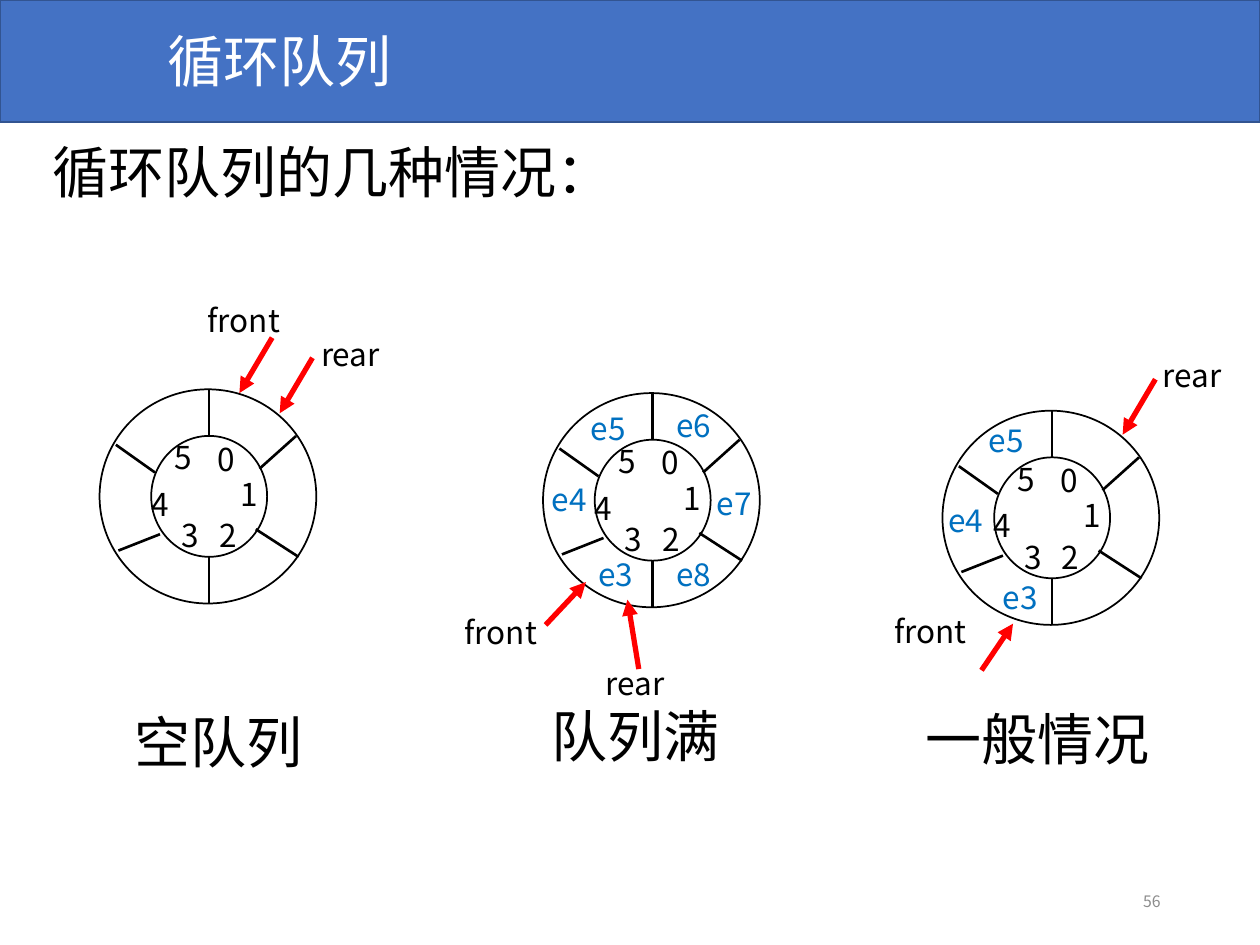
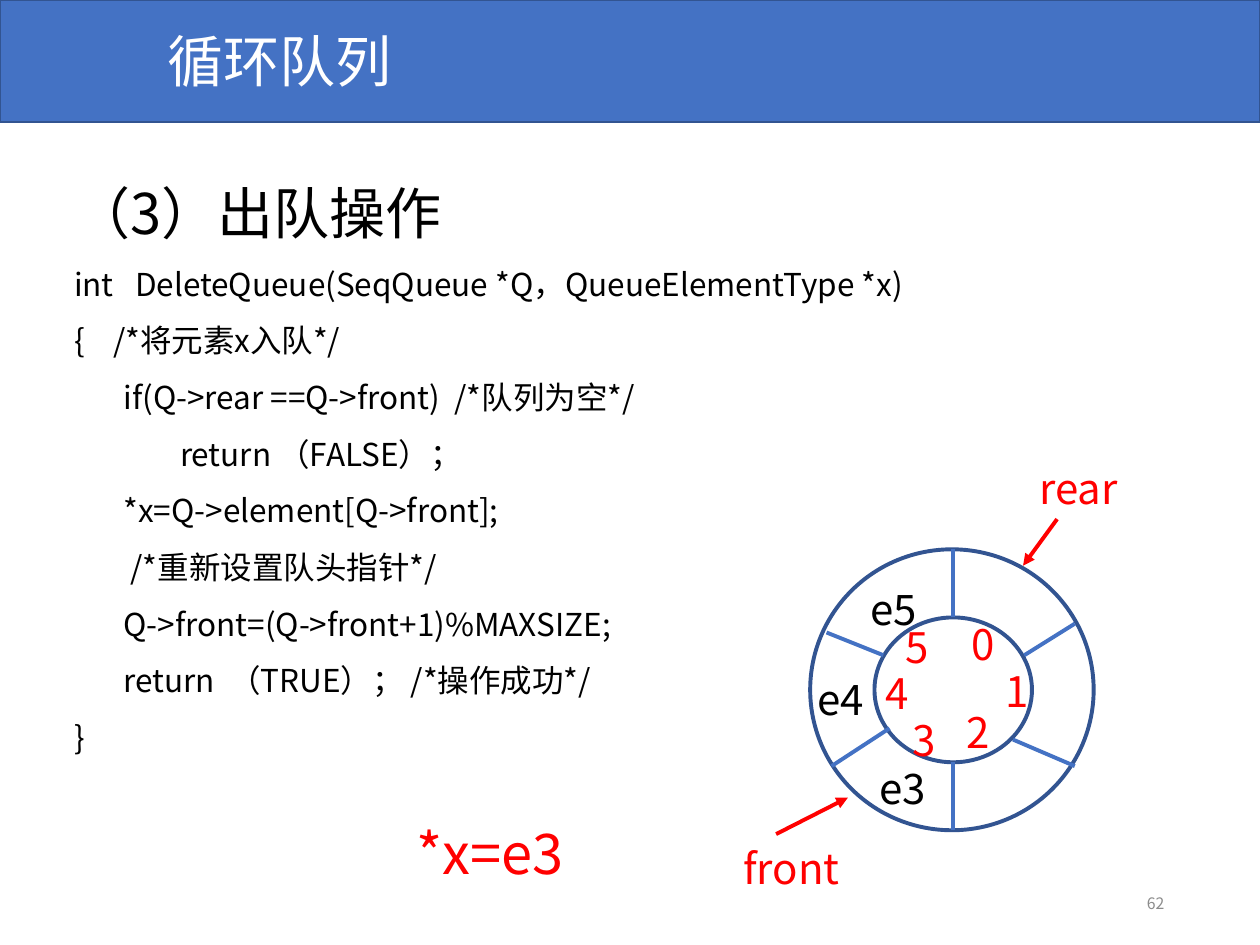
from dataclasses import dataclass

from lxml import etree
from pptx import Presentation
from pptx import util as u
from pptx.dml.color import RGBColor
from pptx.enum import shapes, text
from pptx.oxml.ns import qn

PX = 9144  # 100 px to the inch
FONT = "Noto Sans CJK SC"
BLACK, WHITE, RED, GREY = "000000", "FFFFFF", "FF0000", "8C8C8C"
BLUE, NAVY, ELEMENT_BLUE = "4472C4", "325491", "0070C0"


@dataclass
class RingStyle:
    size: tuple          # width, height of the outer circle
    hub: tuple           # inner circle: left, top, width, height
    spokes: list         # x1, y1, x2, y2
    digits: list         # left, top of the labels 0 to 5
    digit_box: tuple
    element_box: tuple
    font_size: int
    outline: str
    spoke_color: str
    outline_width: float
    spoke_width: float
    arrow_width: float
    digit_color: str
    element_color: str
    pointer_color: str
    pointer_boxes: dict
    wrap: bool = False
    spacing: float = 1.0


SMALL_RING = RingStyle(
    size=(172, 170), hub=(41, 37, 92, 96),
    spokes=[(87, 37, 87, 0), (87, 170, 87, 133), (127, 63, 156, 37),
            (124, 111, 158, 133), (44, 66, 13, 44), (48, 115, 15, 128)],
    digits=[(84, 35), (102, 63), (85, 96), (55, 96), (31, 71), (50, 34)],
    digit_box=(35, 40), element_box=(49, 40), font_size=18,
    outline=BLACK, spoke_color=BLACK,
    outline_width=1, spoke_width=1.5, arrow_width=3,
    digit_color=BLACK, element_color=ELEMENT_BLUE, pointer_color=BLACK,
    pointer_boxes={"front": (79, 40), "rear": (68, 40)})

LARGE_RING = RingStyle(
    size=(225, 223), hub=(51, 54, 125, 115),
    spokes=[(113, 54, 113, 0), (113, 223, 113, 169), (17, 172, 63, 142),
            (210, 59, 170, 84), (58, 84, 13, 66), (210, 172, 161, 151)],
    digits=[(118, 50), (145, 87), (114, 120), (71, 126), (50, 89), (66, 52)],
    digit_box=(38, 50), element_box=(77, 64), font_size=24,
    outline=NAVY, spoke_color=BLUE,
    outline_width=2.25, spoke_width=2.25, arrow_width=2.25,
    digit_color=RED, element_color=BLACK, pointer_color=RED,
    pointer_boxes={"front": (99, 64), "rear": (99, 64)},
    wrap=True, spacing=1.5)

# Per ring: origin, element labels, pointers (label place, arrow), caption box
RINGS = [
    ((79, 309), {},
     {"front": ((76, -75), (137, -41, 111, 3)),
      "rear": ((166, -48), (169, -25, 143, 19))},
     "空队列", (18, 248, 155, 64)),
    ((431, 312),
     {"e3": (34, 124), "e4": (-3, 64), "e5": (28, 8),
      "e6": (96, 5), "e7": (128, 67), "e8": (96, 124)},
     {"front": ((-72, 170), (2, 184, 34, 150)),
      "rear": ((40, 210), (76, 219, 67, 164))},
     "队列满", (-3, 240, 155, 64)),
    ((748, 326),
     {"e3": (38, 128), "e4": (-5, 67), "e5": (27, 3)},
     {"front": ((-48, 155), (31, 206, 56, 169)),
      "rear": ((165, -48), (169, -25, 143, 19))},
     "一般情况", (-23, 228, 200, 64)),
]

DEQUEUE_CODE = """int   DeleteQueue(SeqQueue *Q，QueueElementType *x)
{    /*将元素x入队*/
       if(Q->rear ==Q->front)  /*队列为空*/
               return （FALSE）；
       *x=Q->element[Q->front];
        /*重新设置队头指针*/
       Q->front=(Q->front+1)%MAXSIZE;
       return  （TRUE）； /*操作成功*/
}"""


def px(*lengths):
    return [u.Emu(length * PX) for length in lengths]


def rgb(color):
    return RGBColor.from_string(color)


def shift(origin, box):
    """Move a box or a pair of points by the origin of its region."""
    moved = [value + origin[i % 2] for i, value in enumerate(box)]
    return moved


def place(origin, spot, size):
    return (*shift(origin, spot), *size)


def style_paragraph(para, size, color, spacing=1.0):
    para.line_spacing = spacing
    for span in para.runs:
        span.font.size = u.Pt(size)
        span.font.color.rgb = rgb(color)
        span.font.name = FONT
        etree.SubElement(span.font._element, qn("a:ea"), typeface=FONT)


def add_text(page, box, words, size, color=BLACK, wrap=False, spacing=1.0):
    frame = page.shapes.add_textbox(*px(*box)).text_frame
    frame.word_wrap = wrap
    frame.auto_size = text.MSO_AUTO_SIZE.SHAPE_TO_FIT_TEXT
    frame.text = words
    for para in frame.paragraphs:
        style_paragraph(para, size, color, spacing)
    return frame


def add_shape(page, kind, box, fill, line, width):
    shape = page.shapes.add_shape(kind, *px(*box))
    shape.shadow.inherit = False
    shape.fill.solid()
    shape.fill.fore_color.rgb = rgb(fill)
    shape.line.color.rgb = rgb(line)
    shape.line.width = u.Pt(width)


def add_line(page, ends, color, width, arrow=False):
    line = page.shapes.add_connector(shapes.MSO_CONNECTOR.STRAIGHT, *px(*ends))
    line.line.color.rgb = rgb(color)
    line.line.width = u.Pt(width)
    if arrow:
        etree.SubElement(line.line._get_or_add_ln(), qn("a:tailEnd"), type="triangle")
    etree.SubElement(line._element.spPr, qn("a:effectLst"))


def add_page(deck, number, number_spot):
    """Blank page with the title band and the page number."""
    page = deck.slides.add_slide(deck.slide_layouts[6])
    add_shape(page, shapes.MSO_SHAPE.RECTANGLE, (0, 0, 1000, 97), BLUE, NAVY, 1)
    add_text(page, (123, 16, 680, 64), "循环队列", 32, WHITE, wrap=True)
    frame = add_text(page, (*number_spot, 225, 40), str(number), 9, GREY, wrap=True)
    frame.auto_size = text.MSO_AUTO_SIZE.NONE
    frame.vertical_anchor = text.MSO_ANCHOR.MIDDLE
    frame.paragraphs[0].alignment = text.PP_ALIGN.RIGHT
    return page


def add_ring(page, origin, style, elements, pointers):
    """Circular queue with its slots, elements and front/rear pointers."""
    def label(words, spot, size, color, wrap=False, spacing=1.0):
        add_text(page, place(origin, spot, size), words, style.font_size,
                 color, wrap, spacing)

    # Circles and slot borders
    for box in ((0, 0, *style.size), style.hub):
        add_shape(page, shapes.MSO_SHAPE.OVAL, place(origin, box[:2], box[2:]),
                  WHITE, style.outline, style.outline_width)
    for ends in style.spokes:
        add_line(page, shift(origin, ends), style.spoke_color, style.spoke_width)

    # Slot numbers and stored elements
    for digit, spot in enumerate(style.digits):
        label(str(digit), spot, style.digit_box, style.digit_color)
    for name, spot in elements.items():
        label(name, spot, style.element_box, style.element_color,
              style.wrap, style.spacing)

    # Pointers
    for name, (spot, ends) in pointers.items():
        label(name, spot, style.pointer_boxes[name], style.pointer_color,
              style.wrap, style.spacing)
        add_line(page, shift(origin, ends), RED, style.arrow_width, arrow=True)


def build_cases(deck):
    page = add_page(deck, 56, (706, 695))
    add_text(page, (32, 104, 469, 64), "循环队列的几种情况：", 32)
    for origin, elements, pointers, caption, caption_box in RINGS:
        add_ring(page, origin, SMALL_RING, elements, pointers)
        add_text(page, place(origin, caption_box[:2], caption_box[2:]), caption, 32)


def build_dequeue(deck):
    page = add_page(deck, 62, (709, 697))

    # Heading and code
    frame = add_text(page, (49, 110, 931, 571), "（3）出队操作\n" + DEQUEUE_CODE,
                     18, wrap=True, spacing=1.5)
    for span in frame.paragraphs[0].runs:
        span.font.size = u.Pt(32)

    # Queue and result
    add_ring(page, (643, 436), LARGE_RING,
             {"e3": (45, 144), "e4": (-4, 74), "e5": (38, 2)},
             {"front": ((-63, 208), (-27, 226, 30, 197)),
              "rear": ((172, -94), (196, -24, 169, 13))})
    add_text(page, (321, 618, 190, 81), "*x=e3", 32, RED, wrap=True, spacing=1.5)


def main():
    deck = Presentation()
    deck.slide_width, deck.slide_height = px(1000, 750)
    build_cases(deck)
    build_dequeue(deck)
    deck.save("out.pptx")


if __name__ == "__main__":
    main()
